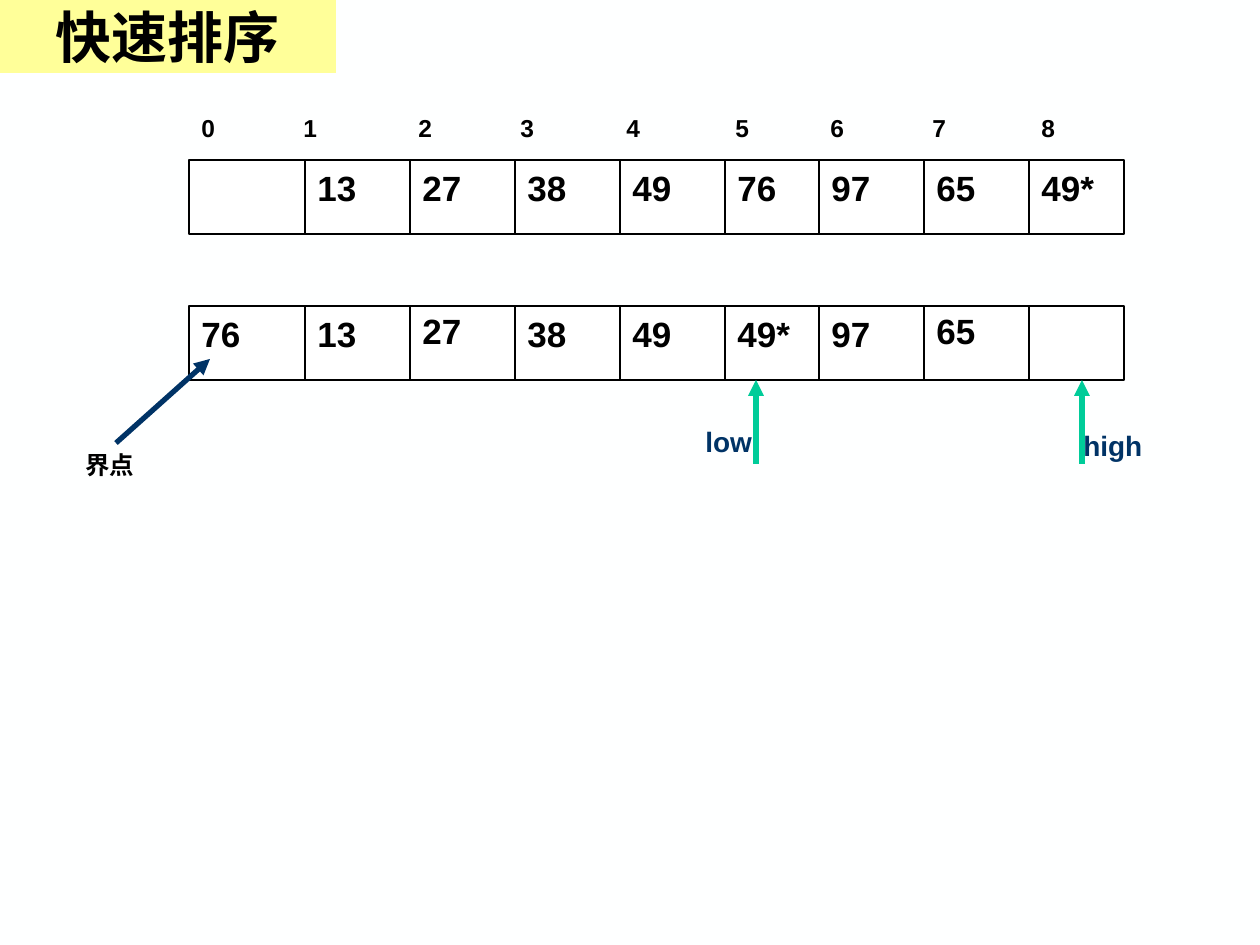
from itertools import accumulate

from lxml import etree
from pptx import Presentation, util as u
from pptx.dml.color import RGBColor
from pptx.enum import shapes, text
from pptx.oxml import ns

BLACK = RGBColor(0, 0, 0)
WHITE = RGBColor(0xFF, 0xFF, 0xFF)
PAPER = RGBColor(0xFE, 0xFF, 0xFF)
YELLOW = RGBColor(0xFF, 0xFF, 0x99)
NAVY = RGBColor(0x00, 0x33, 0x66)
GREEN = RGBColor(0x00, 0xCC, 0x99)

WIDTHS = [116, 105, 105, 105, 105, 94, 105, 105, 95]
EDGES = [0, *accumulate(WIDTHS)]
ROW_H = 74


def px(n):
    return u.Emu(round(n * 914400 / 126))


def add_box(parent, x, y, w, h, fill, line=None):
    sp = parent.add_shape(shapes.MSO_SHAPE.RECTANGLE, px(x), px(y), px(w), px(h))
    sp.shadow.inherit = False
    sp.fill.solid()
    sp.fill.fore_color.rgb = fill
    if line is None:
        sp.line.fill.background()
    else:
        sp.line.color.rgb = line
        sp.line.width = u.Pt(0.75)
    return sp


def add_line(parent, x1, y1, x2, y2, color, width, arrow=False):
    c = parent.add_connector(shapes.MSO_CONNECTOR.STRAIGHT, px(x1), px(y1), px(x2), px(y2))
    c.line.color.rgb = color
    c.line.width = u.Pt(width)
    if arrow:
        etree.SubElement(c.line._get_or_add_ln(), ns.qn("a:tailEnd"), type="triangle")
    etree.SubElement(c._element.spPr, ns.qn("a:effectLst"))


def set_text(tf, words, size, color=BLACK, font="Arial"):
    tf.word_wrap = True
    p = tf.paragraphs[0]
    p.text = words
    p.font.name = font
    p.font.size = u.Pt(size)
    p.font.bold = True
    p.font.color.rgb = color
    return p


def add_label(parent, x, y, w, h, words, size, color=BLACK):
    tf = parent.add_textbox(px(x), px(y), px(w), px(h)).text_frame
    return set_text(tf, words, size, color)


def add_title(s, x, y, w, h):
    tf = add_box(s.shapes, x, y, w, h, YELLOW).text_frame
    tf.vertical_anchor = text.MSO_ANCHOR.MIDDLE
    p = set_text(tf, "快速排序", 32, font="Times New Roman")
    p.alignment = text.PP_ALIGN.CENTER


def add_indices(s, x, y):
    """One line of array indices, spaced by tab stops."""
    p = add_label(s.shapes, x, y, EDGES[-1], 43, "\t".join(map(str, range(9))), 14)
    tabs = etree.SubElement(p._p.get_or_add_pPr(), ns.qn("a:tabLst"))
    p._p.pPr.insert(0, tabs)  # tab list precedes the default run properties
    for stop in (102, 217, 319, 425, 534, 629, 731, 840):
        etree.SubElement(tabs, ns.qn("a:tab"), pos=str(px(stop)), algn="l")


def add_array(s, x, y, values, raised=()):
    """Frame with dividers, then one value per cell; raised cells sit higher."""
    grid = s.shapes.add_group_shape().shapes
    add_box(grid, x, y, EDGES[-1], ROW_H, WHITE, BLACK)
    for edge in EDGES[1:-1]:
        add_line(grid, x + edge, y, x + edge, y + ROW_H, BLACK, 0.75)
    for i, value in enumerate(values):
        if value:
            top = y - 3 if i in raised else y
            add_label(s.shapes, x + EDGES[i], top, 84, 55, value, 20)


def add_marker(s, x, y, name, dx, dy):
    """Upward pointer whose tip is at x, y, with its name beside it."""
    marker = s.shapes.add_group_shape().shapes
    add_line(marker, x, y + 84, x, y, GREEN, 3, arrow=True)
    add_label(marker, x + dx, y + dy, 116, 47, name, 16, NAVY)


def add_pivot(s, x, y):
    add_label(s.shapes, x, y, 105, 43, "界点", 14)
    add_line(s.shapes, x + 43, y - 1, x + 137, y - 85, NAVY, 3, arrow=True)


def main():
    prs = Presentation()
    prs.slide_width, prs.slide_height = px(1260), px(945)
    s = prs.slides.add_slide(prs.slide_layouts[6])
    s.background.fill.solid()
    s.background.fill.fore_color.rgb = PAPER

    # Array before and after the swap
    left, before, after = 189, 160, 306
    add_indices(s, left, 107)
    add_array(s, left, before, ["", "13", "27", "38", "49", "76", "97", "65", "49*"])
    add_array(s, left, after, ["76", "13", "27", "38", "49", "49*", "97", "65", ""], raised=(2, 7))

    # Pointers under the second array
    add_marker(s, 1082, after + ROW_H, "high", -11, 42)
    add_marker(s, 756, after + ROW_H, "low", -63, 38)
    add_pivot(s, 73, 444)

    add_title(s, 0, 0, 336, 73)
    prs.save("out.pptx")


if __name__ == "__main__":
    main()
